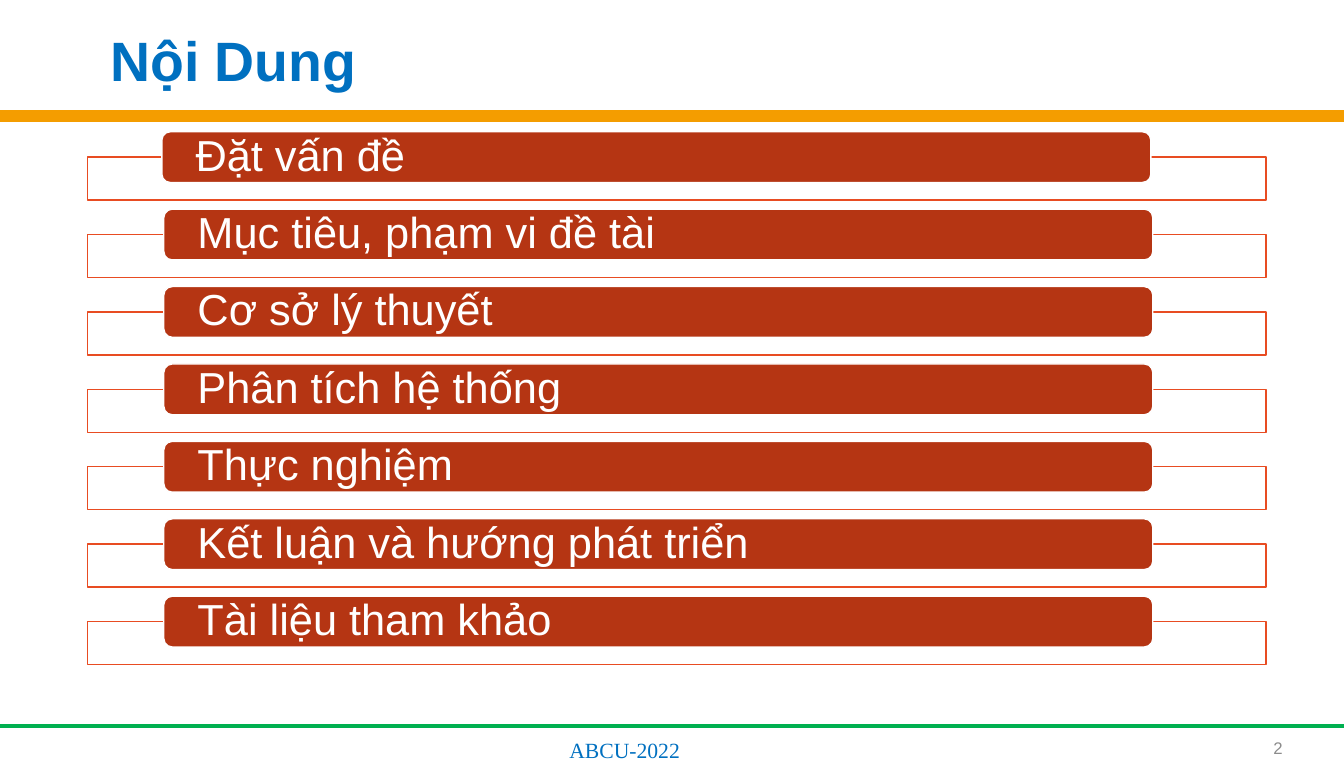
from lxml import etree
from pptx import Presentation
from pptx.dml.color import RGBColor
from pptx.enum.shapes import MSO_CONNECTOR, MSO_SHAPE
from pptx.enum.text import MSO_ANCHOR, MSO_AUTO_SIZE, PP_ALIGN
from pptx.oxml.ns import qn
from pptx.util import Pt

RECT, ROUND = MSO_SHAPE.RECTANGLE, MSO_SHAPE.ROUNDED_RECTANGLE
STRAIGHT = MSO_CONNECTOR.STRAIGHT
TOP, MIDDLE = MSO_ANCHOR.TOP, MSO_ANCHOR.MIDDLE
LEFT, RIGHT = PP_ALIGN.LEFT, PP_ALIGN.RIGHT
NO_FIT = MSO_AUTO_SIZE.NONE

WIDTH, HEIGHT = 1378, 787
TOPICS = [
    "Đặt vấn đề",
    "Mục tiêu, phạm vi đề tài",
    "Cơ sở lý thuyết",
    "Phân tích hệ thống",
    "Thực nghiệm",
    "Kết luận và hướng phát triển",
    "Tài liệu tham khảo",
]


def px(n):
    return round(n * 9144)  # 100 px to the inch


def color(hex_value):
    return RGBColor.from_string(hex_value)


def write(sp, text, size, hex_value, font="Arial", bold=False,
          align=LEFT, anchor=MIDDLE):
    tf = sp.text_frame
    tf.word_wrap = True
    tf.auto_size = NO_FIT
    tf.vertical_anchor = anchor
    p = tf.paragraphs[0]
    p.alignment = align
    r = p.add_run()
    r.text = text
    r.font.size = Pt(size)
    r.font.name = font
    r.font.bold = bold
    r.font.color.rgb = color(hex_value)
    return tf


def add_text(slide, x, y, w, h, *args, **kwargs):
    sp = slide.shapes.add_textbox(px(x), px(y), px(w), px(h))
    write(sp, *args, **kwargs)


def add_box(slide, kind, x, y, w, h, fill, line):
    sp = slide.shapes.add_shape(kind, px(x), px(y), px(w), px(h))
    sp.shadow.inherit = False
    sp.fill.solid()
    sp.fill.fore_color.rgb = color(fill)
    sp.line.color.rgb = color(line)
    sp.line.width = Pt(1)
    return sp


def add_rule(slide, y, hex_value, width):
    line = slide.shapes.add_connector(STRAIGHT, 0, px(y), px(WIDTH), px(y))
    line.line.color.rgb = color(hex_value)
    line.line.width = Pt(width)
    etree.SubElement(line._element.spPr, qn("a:effectLst"))


def add_header(slide, x, y, w, h):
    title = slide.shapes.title
    title.left, title.top, title.width, title.height = map(px, (x, y, w, h))
    tf = write(title, "Nội Dung", 40.9, "0070C0", bold=True)
    tf.paragraphs[0].line_spacing = 0.9
    add_rule(slide, y + 86, "F49D00", 9)


def add_topic(slide, x, y, w, text, shift):
    frame = add_box(slide, RECT, x, y + 26, w, 44, "FFFFFF", "E84C22")
    fill = frame._element.spPr.find(qn("a:solidFill"))
    etree.SubElement(fill[0], qn("a:alpha"), val="90000")

    pill = add_box(slide, ROUND, x + 78 + shift, y, 1014, 52,
                   "B53513", "FFFFFF")
    tf = write(pill, text, 32, "FFFFFF")
    tf.margin_left = tf.margin_right = px(32)
    tf.margin_top = tf.margin_bottom = 0
    tf.paragraphs[0].line_spacing = 0.9


def add_agenda(slide, x, y, w, h):
    pitch = (h - 70) / (len(TOPICS) - 1)
    for i, text in enumerate(TOPICS):
        # The first pill sits slightly to the left
        add_topic(slide, x, y + i * pitch, w, text, 0 if i else -2)


def add_footer(slide, y):
    add_rule(slide, y, "00B050", 3)
    add_text(slide, 574, y + 6, 204, 37, "ABCU-2022", 16, "0070C0",
             font="Times New Roman", anchor=TOP)
    add_text(slide, 1015, y + 1, 310, 42, "2", 12.4, "8C8C8C", align=RIGHT)


def main():
    prs = Presentation()
    prs.slide_width, prs.slide_height = px(WIDTH), px(HEIGHT)
    slide = prs.slides.add_slide(prs.slide_layouts[5])
    add_header(slide, 103, 33, 400, 64)
    add_agenda(slide, 90, 135, 1208, 546)
    add_footer(slide, 744)
    prs.save("out.pptx")


if __name__ == "__main__":
    main()
